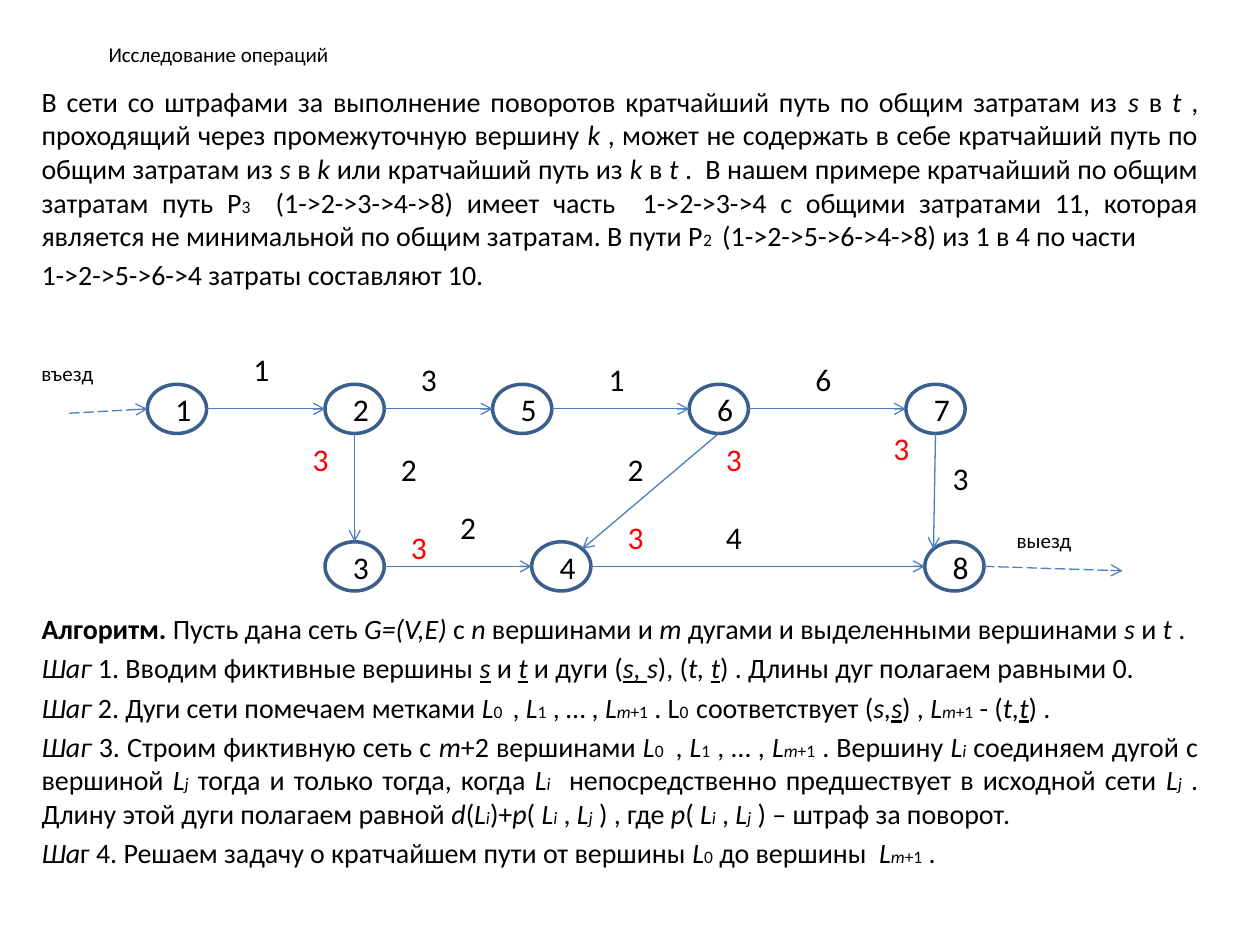
from dataclasses import dataclass
from math import sqrt
from typing import NamedTuple

from lxml.etree import SubElement
from pptx import Presentation
from pptx.dml.color import RGBColor
from pptx.enum.dml import MSO_LINE_DASH_STYLE as Dash
from pptx.enum.shapes import MSO_CONNECTOR as Connector, MSO_SHAPE as Shape
from pptx.enum.text import MSO_ANCHOR as Anchor, MSO_AUTO_SIZE as AutoSize, PP_ALIGN as Align
from pptx.oxml.ns import qn
from pptx.util import Inches, Pt

FONT = "Calibri"
BLACK, RED, OUTLINE, ARROW = "000000", "FF0000", "3A5F8C", "4B7EBC"
NODE_W, NODE_H = 0.47, 0.39
TOP_ROW, BOTTOM_ROW = 3.05, 4.3
DIAGONAL = sqrt(0.5)

# Directions from a node centre to its rim
LEFT, RIGHT, DOWN = (-1, 0), (1, 0), (0, 1)
UP, UP_LEFT, UP_RIGHT = (0, -1), (-DIAGONAL, -DIAGONAL), (DIAGONAL, -DIAGONAL)


class Point(NamedTuple):
    x: float
    y: float


@dataclass(frozen=True)
class Node:
    number: int
    left: float
    top: float

    def rim(self, direction: tuple) -> Point:
        dx, dy = direction
        return Point(self.left + NODE_W / 2 * (1 + dx), self.top + NODE_H / 2 * (1 + dy))


class Label(NamedTuple):
    text: str
    left: float
    top: float
    color: str = BLACK
    width: float = 0.16
    height: float = 0.4
    size: int = 18


class Arc(NamedTuple):
    start: int
    leave: tuple
    end: int
    enter: tuple


NODES = {node.number: node for node in (
    Node(1, 1.17, TOP_ROW), Node(2, 2.58, TOP_ROW), Node(5, 3.91, TOP_ROW),
    Node(6, 5.47, TOP_ROW), Node(7, 7.19, TOP_ROW),
    Node(3, 2.58, BOTTOM_ROW), Node(4, 4.22, BOTTOM_ROW), Node(8, 7.34, BOTTOM_ROW),
)}
ARCS = [
    Arc(1, RIGHT, 2, LEFT), Arc(2, RIGHT, 5, LEFT), Arc(5, RIGHT, 6, LEFT),
    Arc(6, RIGHT, 7, LEFT), Arc(2, DOWN, 3, UP), Arc(3, RIGHT, 4, LEFT),
    Arc(4, RIGHT, 8, LEFT), Arc(7, DOWN, 8, UP_LEFT), Arc(6, DOWN, 4, UP_RIGHT),
]
GATES = [
    Label("въезд", 0.23, 2.81, width=0.78, height=0.3, size=12),
    Label("выезд", 7.97, 4.14, width=0.78, height=0.3, size=12),
]
LENGTHS = [
    Label("1", 1.95, 2.73), Label("3", 3.28, 2.81), Label("1", 4.77, 2.81),
    Label("6", 6.41, 2.81), Label("2", 3.12, 3.52), Label("2", 4.92, 3.52),
    Label("2", 3.59, 3.98), Label("4", 5.7, 4.06), Label("3", 7.5, 3.59),
]
PENALTIES = [
    Label("3", left, top, RED) for left, top in
    ((2.42, 3.44), (3.2, 4.14), (5.7, 3.44), (7.03, 3.36), (4.92, 4.06))
]

# Marks that switch a style on and off: * italic, _ underline, # bold, ~ index
MARKS = "*_#~"
INTRO = [
    "В сети со штрафами за выполнение поворотов кратчайший путь по общим затратам из "
    "*s* в *t *, проходящий через промежуточную вершину *k *, может не содержать в себе "
    "кратчайший путь по общим затратам из *s *в *k *или кратчайший путь из *k* в *t* .  "
    "В нашем примере кратчайший по общим затратам путь P~3 ~ (1->2->3->4->8) имеет часть  "
    "1->2->3->4 с общими затратами 11, которая является не минимальной по общим затратам. "
    "В пути P~2 ~ (1->2->5->6->4->8) из 1 в 4 по части",
    "1->2->5->6->4 затраты составляют 10.",
]
ALGORITHM = [
    "#Алгоритм. #Пусть дана сеть *G=(V,E) *с *n *вершинами и *m *дугами и выделенными "
    "вершинами *s *и *t* .",
    "*Шаг* 1. Вводим фиктивные вершины *_s_* и *_t_* и дуги (*_s, _s*), (*t, _t_*) . "
    "Длины дуг полагаем равными 0.",
    "*Шаг* 2. Дуги сети помечаем метками *L*~0 ~ , *L*~1~ , … , *L~m~*~+1~ . L~0  ~"
    "соответствует (*s,_s_*) , *L~m~*~+1~ - (*t,_t_*) .",
    "*Шаг* 3. Строим фиктивную сеть с *m*+2 вершинами *L*~0 ~ , *L*~1~ , … , "
    "*L~m~*~+1~ . Вершину *L~i~ *соединяем дугой с вершиной *L~j~* тогда и только тогда, "
    "когда *L~i~*  непосредственно предшествует в исходной сети *L~j~* . Длину этой дуги "
    "полагаем равной *d*(*L~i~*)+*p*( *L~i~ *, *L~j~ *) , где *p*( *L~i~* , *L~j~* ) "
    "– штраф за поворот.",
    "*Ша*г 4. Решаем задачу о кратчайшем пути от вершины *L*~0~ до вершины  *L~m~*~+1~ .",
]


def rgb(color: str) -> RGBColor:
    return RGBColor.from_string(color)


def add_run(paragraph, text: str, size: float, color: str = BLACK, styles: frozenset = frozenset()) -> None:
    run = paragraph.add_run()
    run.text = text
    font = run.font
    font.name, font.size, font.color.rgb = FONT, Pt(size), rgb(color)
    if "*" in styles:
        font.italic = True
    if "_" in styles:
        font.underline = True
    if "#" in styles:
        font.bold = True


def add_marked_text(paragraph, marked: str) -> None:
    """Split the text at its marks and add one run per style."""
    styles, piece = frozenset(), ""
    for char in marked + MARKS[0]:
        if char not in MARKS:
            piece += char
            continue
        if piece:
            add_run(paragraph, piece, 10 if "~" in styles else 16, styles=styles)
        styles, piece = styles ^ {char}, ""


def place(shape, left: float, top: float, width: float, height: float) -> None:
    shape.left, shape.top = Inches(left), Inches(top)
    shape.width, shape.height = Inches(width), Inches(height)


def draw_node(slide, node: Node) -> None:
    ring = slide.shapes.add_shape(
        Shape.OVAL, Inches(node.left), Inches(node.top), Inches(NODE_W), Inches(NODE_H))
    ring.shadow.inherit = False
    ring.fill.background()
    ring.line.color.rgb, ring.line.width = rgb(OUTLINE), Pt(2)


def draw_arrow(slide, start: Point, end: Point, dashed: bool = False) -> None:
    arrow = slide.shapes.add_connector(Connector.STRAIGHT, *map(Inches, (*start, *end)))
    arrow.line.color.rgb, arrow.line.width = rgb(ARROW), Pt(0.75)
    if dashed:
        arrow.line.dash_style = Dash.LONG_DASH
    SubElement(arrow.line._get_or_add_ln(), qn("a:tailEnd"), type="arrow")
    SubElement(arrow._element.spPr, qn("a:effectLst"))


def draw_label(slide, label: Label) -> None:
    box = slide.shapes.add_textbox(
        *map(Inches, (label.left, label.top, label.width, label.height)))
    frame = box.text_frame
    frame.word_wrap, frame.auto_size = True, AutoSize.SHAPE_TO_FIT_TEXT
    add_run(frame.paragraphs[0], label.text, label.size, label.color)


def main() -> None:
    deck = Presentation()
    deck.slide_width, deck.slide_height = Inches(10), Inches(7.5)
    slide = deck.slides.add_slide(deck.slide_layouts[0])

    # Course title
    course = slide.shapes.title
    place(course, 0.47, 0.23, 2.53, 0.4)
    course.text_frame.vertical_anchor = Anchor.MIDDLE
    course.text_frame.auto_size = AutoSize.NONE
    course.text_frame.paragraphs[0].alignment = Align.CENTER
    add_run(course.text_frame.paragraphs[0], "Исследование операций", 12)

    # Introduction and algorithm, with room for the network between them
    theory = slide.placeholders[1]
    place(theory, 0.23, 0.62, 9.38, 6.64)
    theory.text_frame.auto_size = AutoSize.NONE
    for index, marked in enumerate(INTRO + ALGORITHM):
        paragraph = theory.text_frame.paragraphs[0] if index == 0 else theory.text_frame.add_paragraph()
        paragraph.alignment = Align.JUSTIFY
        paragraph.space_before = Pt({0: 0, len(INTRO): 183}.get(index, 3.2))
        add_marked_text(paragraph, marked)

    # Network
    for node in NODES.values():
        draw_node(slide, node)
    for arc in ARCS:
        draw_arrow(slide, NODES[arc.start].rim(arc.leave), NODES[arc.end].rim(arc.enter))
    draw_arrow(slide, Point(0.55, 3.28), NODES[1].rim(LEFT), dashed=True)
    draw_arrow(slide, NODES[8].rim(RIGHT), Point(8.91, 4.53), dashed=True)

    # Node numbers, gates, arc lengths and turn penalties
    numbers = [Label(str(node.number), node.left + 0.16, node.top) for node in NODES.values()]
    for label in numbers + GATES + LENGTHS + PENALTIES:
        draw_label(slide, label)

    deck.save("out.pptx")


if __name__ == "__main__":
    main()
